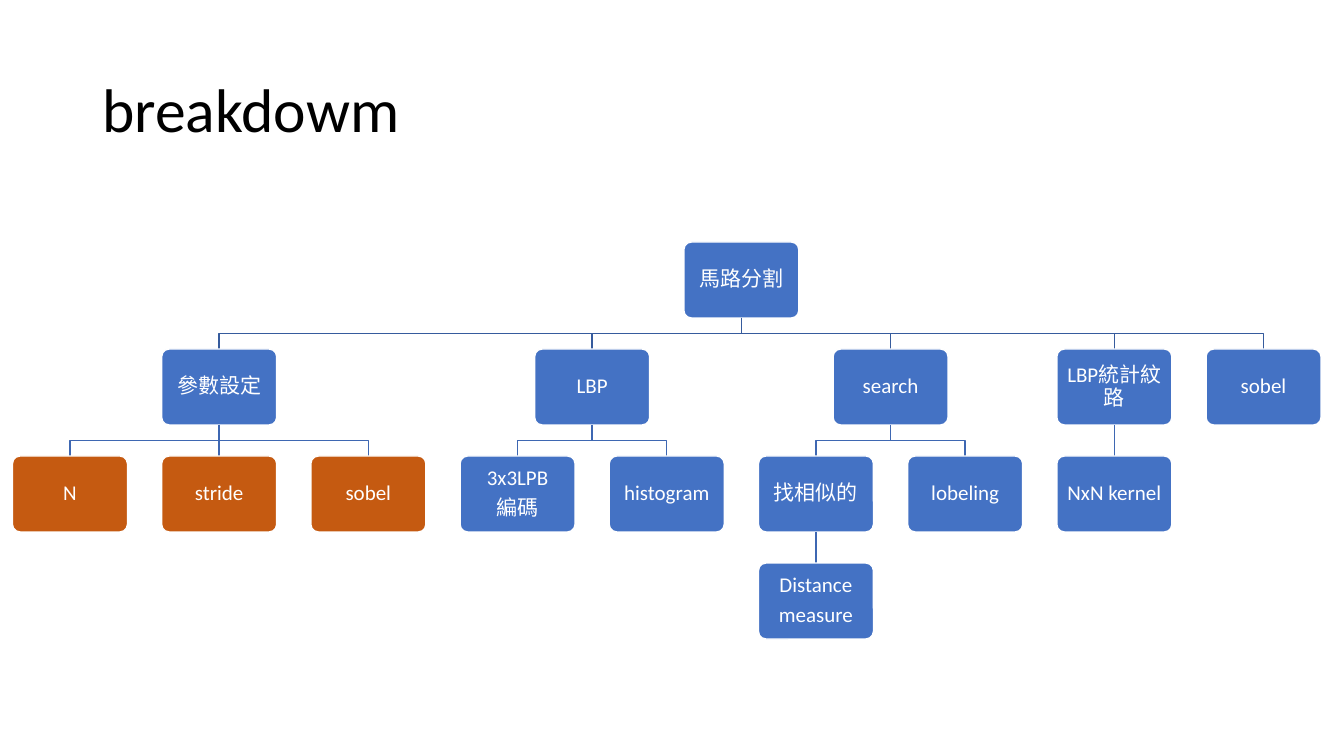
from itertools import count

from lxml import etree
from pptx import Presentation
from pptx import util as u
from pptx.dml.color import RGBColor
from pptx.enum import shapes, text
from pptx.oxml import ns

SCALE = 12192000 / 1344
BLUE, ORANGE = "4472C4", "C55A11"
ROOT_LINK, BRANCH_LINK = "365B9D", "3E67B2"
BOX_WIDTH, BOX_HEIGHT = 115, 76
FIRST_CENTRE, FIRST_TOP = 70, 242
COLUMN_STEP, ROW_STEP = 149.2, 107

TREE = ("馬路分割", BLUE, [
    ("參數設定", BLUE, [
        ("N", ORANGE, []),
        ("stride", ORANGE, []),
        ("sobel", ORANGE, []),
    ]),
    ("LBP", BLUE, [
        ("3x3LPB\n編碼", BLUE, []),
        ("histogram", BLUE, []),
    ]),
    ("search", BLUE, [
        ("找相似的", BLUE, [("Distance\nmeasure", BLUE, [])]),
        ("lobeling", BLUE, []),
    ]),
    ("LBP統計紋路", BLUE, [("NxN kernel", BLUE, [])]),
    ("sobel", BLUE, []),
])


def px(length):
    return u.Emu(round(length * SCALE))


def colour(value):
    return RGBColor.from_string(value)


class Chart:
    """Draws an organisation chart on one page in a single style."""

    font = "Calibri"

    def __init__(self, page):
        self.page = page
        self.leaf_columns = count()

    def label(self, frame, words, size, ink, align, after=0):
        frame.text = words
        frame.word_wrap = True
        frame.vertical_anchor = text.MSO_ANCHOR.MIDDLE
        for para in frame.paragraphs:
            para.alignment = align
            para.line_spacing = 0.9
            para.space_after = u.Pt(after)
            para.font.name = self.font
            para.font.size = u.Pt(size)
            para.font.color.rgb = colour(ink)

    def title(self, words, left, top, width, height):
        box = self.page.shapes.title
        box.left, box.top, box.width, box.height = map(px, (left, top, width, height))
        self.label(box.text_frame, words, 44, "000000", text.PP_ALIGN.LEFT)

    def box(self, words, fill, centre, top):
        box = self.page.shapes.add_shape(
            shapes.MSO_SHAPE.ROUNDED_RECTANGLE,
            px(centre - BOX_WIDTH / 2), px(top), px(BOX_WIDTH), px(BOX_HEIGHT))
        box.adjustments[0] = 0.1
        box.shadow.inherit = False
        box.fill.solid()
        box.fill.fore_color.rgb = colour(fill)
        box.line.color.rgb = colour("FFFFFF")
        box.line.width = u.Pt(1)
        frame = box.text_frame
        frame.margin_left = frame.margin_right = px(8)
        frame.margin_top = frame.margin_bottom = px(8)
        self.label(frame, words, 15, "FFFFFF", text.PP_ALIGN.CENTER, after=5)

    def link(self, start, end, top, bottom, ink):
        if start == end:
            line = self.page.shapes.add_connector(
                shapes.MSO_CONNECTOR.STRAIGHT, px(start), px(top), px(end), px(bottom))
            etree.SubElement(line._element.spPr, ns.qn("a:effectLst"))
        else:
            middle = (top + bottom) / 2
            builder = self.page.shapes.build_freeform(px(start), px(top))
            corners = [(start, middle), (end, middle), (end, bottom)]
            builder.add_line_segments([(px(x), px(y)) for x, y in corners], close=False)
            line = builder.convert_to_shape()
            line.fill.background()
            line.shadow.inherit = False
        line.line.color.rgb = colour(ink)
        line.line.width = u.Pt(1)

    def place(self, node):
        words, fill, children = node
        placed = [self.place(child) for child in children]
        if placed:
            column = (placed[0][2] + placed[-1][2]) / 2
        else:
            column = next(self.leaf_columns)
        return words, fill, column, placed

    def draw(self, node, row=0):
        words, fill, column, children = node
        centre = FIRST_CENTRE + column * COLUMN_STEP
        top = FIRST_TOP + row * ROW_STEP
        self.box(words, fill, centre, top)
        for child in children:
            child_centre = FIRST_CENTRE + child[2] * COLUMN_STEP
            ink = BRANCH_LINK if row else ROOT_LINK
            self.link(centre, child_centre, top + BOX_HEIGHT, top + ROW_STEP, ink)
            self.draw(child, row + 1)


def main():
    deck = Presentation()
    deck.slide_width, deck.slide_height = px(1344), px(756)
    chart = Chart(deck.slides.add_slide(deck.slide_layouts[5]))
    chart.title("breakdowm", 92, 40, 1159, 146)
    chart.draw(chart.place(TREE))
    deck.save("out.pptx")


if __name__ == "__main__":
    main()
